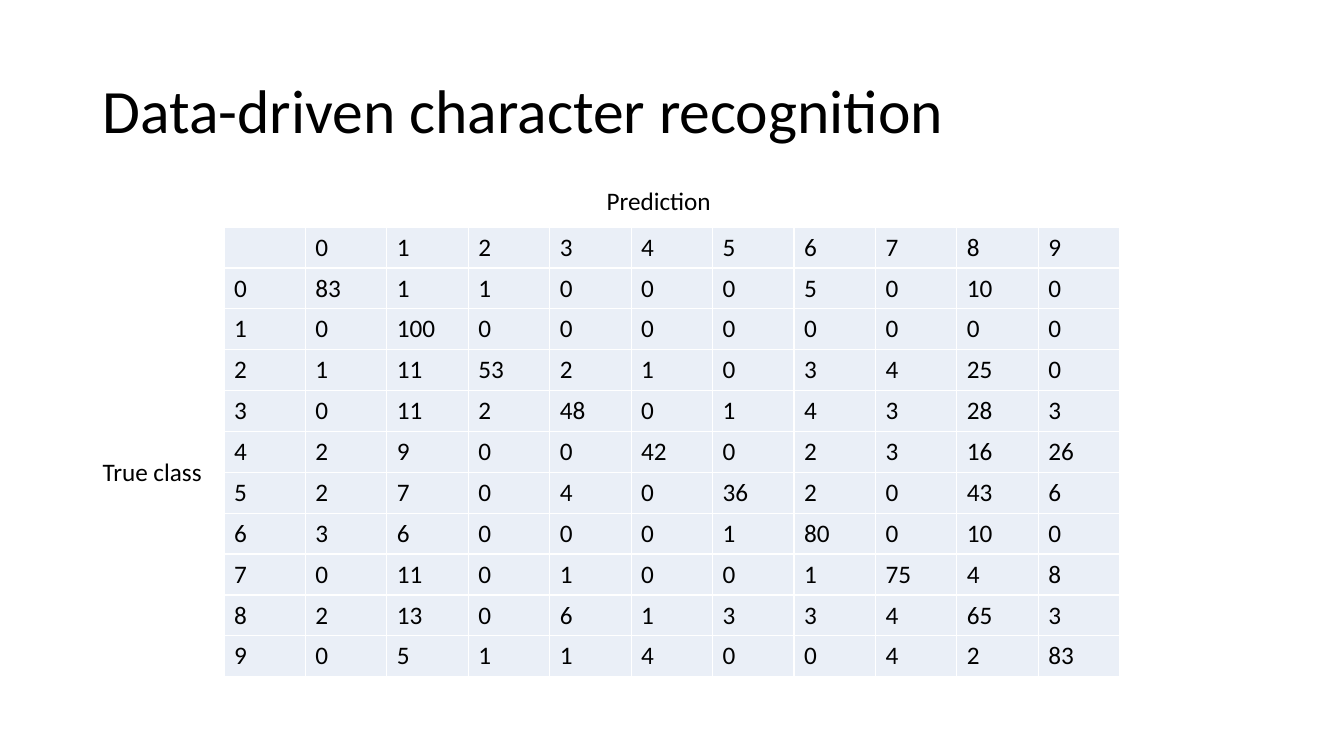
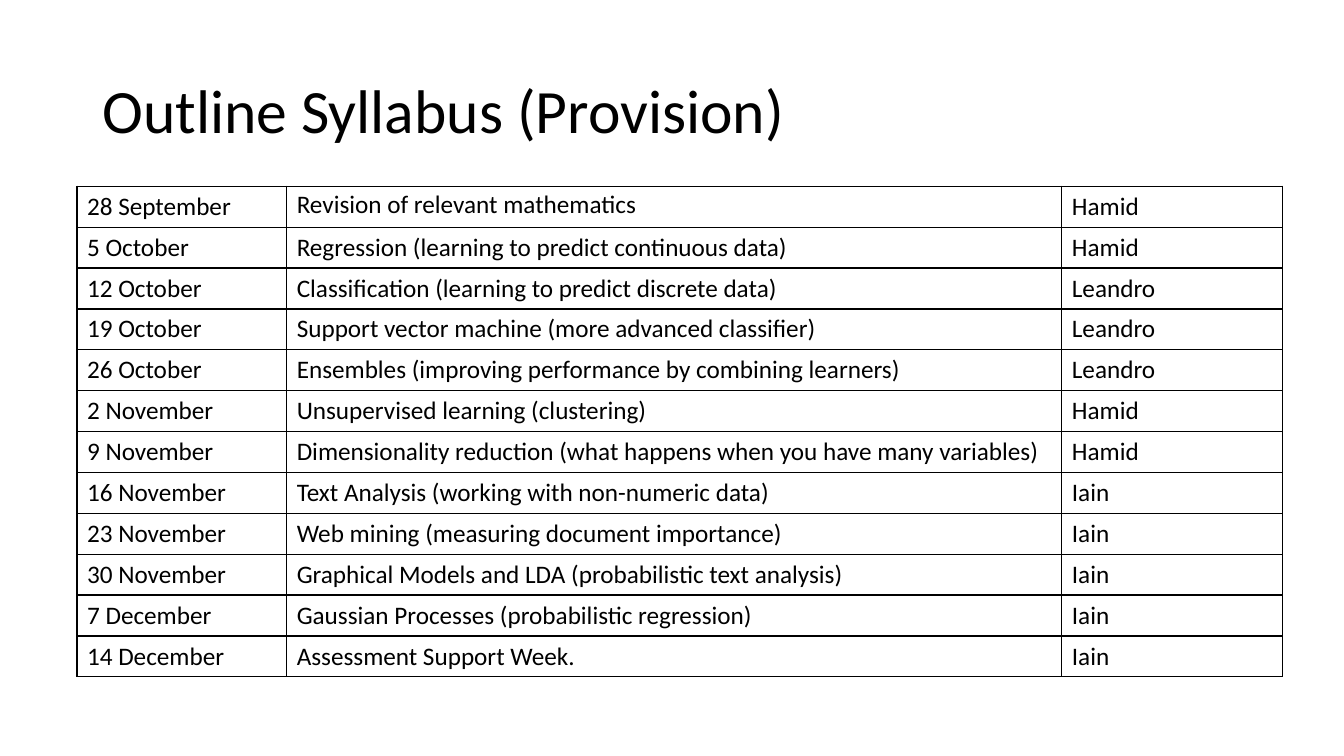
from lxml import etree
from pptx import Presentation
from pptx.dml.color import RGBColor
from pptx.enum.text import MSO_ANCHOR, MSO_AUTO_SIZE, PP_ALIGN
from pptx.oxml.ns import qn
from pptx.util import Pt

LEFT = PP_ALIGN.LEFT
MIDDLE = MSO_ANCHOR.MIDDLE
NO_FIT = MSO_AUTO_SIZE.NONE
GROW = MSO_AUTO_SIZE.SHAPE_TO_FIT_TEXT

FONT = "Calibri"
BLACK, WHITE, PALE_BLUE = "000000", "FFFFFF", "EAEFF7"
TITLE_SIZE, BODY_SIZE = 44, 18
TITLE_BOX = (66, 28.75, 828, 104.38)
ROW_HEIGHT = 29.2
TITLE_ONLY = 5

CONFUSION = [
    [83, 1, 1, 0, 0, 0, 5, 0, 10, 0],
    [0, 100, 0, 0, 0, 0, 0, 0, 0, 0],
    [1, 11, 53, 2, 1, 0, 3, 4, 25, 0],
    [0, 11, 2, 48, 0, 1, 4, 3, 28, 3],
    [2, 9, 0, 0, 42, 0, 2, 3, 16, 26],
    [2, 7, 0, 4, 0, 36, 2, 0, 43, 6],
    [3, 6, 0, 0, 0, 1, 80, 0, 10, 0],
    [0, 11, 0, 1, 0, 0, 1, 75, 4, 8],
    [2, 13, 0, 6, 1, 3, 3, 4, 65, 3],
    [0, 5, 1, 1, 4, 0, 0, 4, 2, 83],
]

SYLLABUS = [
    ("28 September", "Revision of relevant mathematics", "Hamid"),
    ("5 October", "Regression (learning to predict continuous data)", "Hamid"),
    ("12 October", "Classification (learning to predict discrete data)", "Leandro"),
    ("19 October", "Support vector machine (more advanced classifier)", "Leandro"),
    ("26 October", "Ensembles (improving performance by combining learners)", "Leandro"),
    ("2 November", "Unsupervised learning (clustering)", "Hamid"),
    ("9 November", "Dimensionality reduction (what happens when you have many variables)", "Hamid"),
    ("16 November", "Text Analysis (working with non-numeric data)", "Iain"),
    ("23 November", "Web mining (measuring document importance)", "Iain"),
    ("30 November", "Graphical Models and LDA (probabilistic text analysis)", "Iain"),
    ("7 December", "Gaussian Processes (probabilistic regression)", "Iain"),
    ("14 December", "Assessment Support Week.", "Iain"),
]


def rgb(color):
    """Turn a hex string into a colour."""
    return RGBColor.from_string(color)


def set_attrs(obj, values):
    """Set attributes of an object from a dict."""
    for name, value in values.items():
        setattr(obj, name, value)


def write(tf, text, size=BODY_SIZE, **paragraph_format):
    """Write one formatted paragraph into a text frame."""
    p = tf.paragraphs[0]
    set_attrs(p, {"alignment": LEFT, **paragraph_format})
    r = p.add_run()
    r.text = text
    set_attrs(r.font, {"name": FONT, "size": Pt(size)})
    r.font.color.rgb = rgb(BLACK)


def add_titled_slide(prs, title):
    """Add a white slide with its title."""
    s = prs.slides.add_slide(prs.slide_layouts[TITLE_ONLY])
    s.background.fill.solid()
    s.background.fill.fore_color.rgb = rgb(WHITE)
    sp = s.shapes.title
    set_attrs(sp, dict(zip(("left", "top", "width", "height"), map(Pt, TITLE_BOX))))
    tf = sp.text_frame
    set_attrs(tf, {"vertical_anchor": MIDDLE, "auto_size": NO_FIT, "word_wrap": True})
    write(tf, title, TITLE_SIZE, line_spacing=0.9)
    return s


def add_label(s, text, left, top, width):
    """Add a one-line label that does not wrap."""
    sp = s.shapes.add_textbox(Pt(left), Pt(top), Pt(width), Pt(ROW_HEIGHT))
    set_attrs(sp.text_frame, {"word_wrap": False, "auto_size": GROW})
    write(sp.text_frame, text)


def set_borders(cell, color):
    """Draw a one-point line on each side of a cell."""
    tc_pr = cell._tc.get_or_add_tcPr()
    for side in ("a:lnL", "a:lnR", "a:lnT", "a:lnB"):
        ln = etree.SubElement(tc_pr, qn(side), w=str(Pt(1)))
        fill = etree.SubElement(ln, qn("a:solidFill"))
        etree.SubElement(fill, qn("a:srgbClr"), val=color)


def add_grid(s, rows, left, top, widths, fill, border):
    """Add a table with equal rows and one fill and border colour."""
    size = (Pt(sum(widths)), Pt(ROW_HEIGHT * len(rows)))
    table = s.shapes.add_table(len(rows), len(widths), Pt(left), Pt(top), *size).table
    set_attrs(table, {"first_row": False, "horz_banding": False})
    for column, width in zip(table.columns, widths):
        column.width = Pt(width)
    for row, values in zip(table.rows, rows):
        row.height = Pt(ROW_HEIGHT)
        for cell, value in zip(row.cells, values):
            set_borders(cell, border)
            cell.fill.solid()
            cell.fill.fore_color.rgb = rgb(fill)
            if value != "":
                write(cell.text_frame, str(value))
    return table


def build_recognition(prs):
    """Build the slide with the confusion matrix."""
    s = add_titled_slide(prs, "Data-driven character recognition")
    digits = range(len(CONFUSION))
    rows = [["", *digits]] + [[digit, *counts] for digit, counts in zip(digits, CONFUSION)]
    add_grid(s, rows, 160, 162.2, [58.18] * len(rows[0]), PALE_BLUE, WHITE)
    add_label(s, "Prediction", 426.2, 128.9, 90)
    add_label(s, "True class", 66.2, 322.6, 86.4)


def build_syllabus(prs):
    """Build the slide with the syllabus table."""
    s = add_titled_slide(prs, "Outline Syllabus (Provision)")
    table = add_grid(s, SYLLABUS, 55, 133.1, [149.8, 553.7, 157.7], WHITE, BLACK)
    table.cell(0, 1).text_frame.paragraphs[0].line_spacing = 0.9


def main():
    """Build and save the presentation."""
    prs = Presentation()
    set_attrs(prs, {"slide_width": Pt(960), "slide_height": Pt(540)})
    build_recognition(prs)
    build_syllabus(prs)
    prs.save("out.pptx")


if __name__ == "__main__":
    main()
